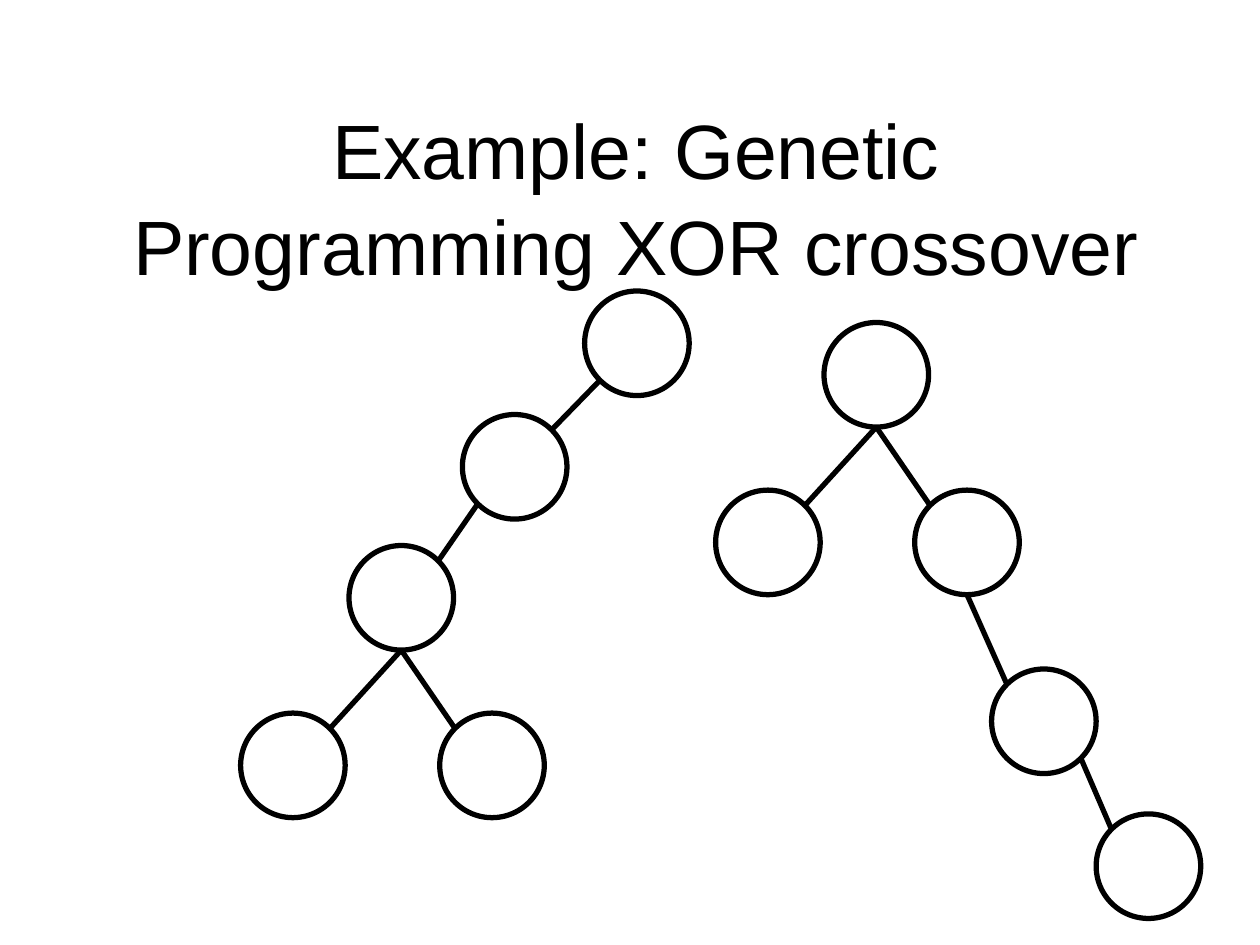
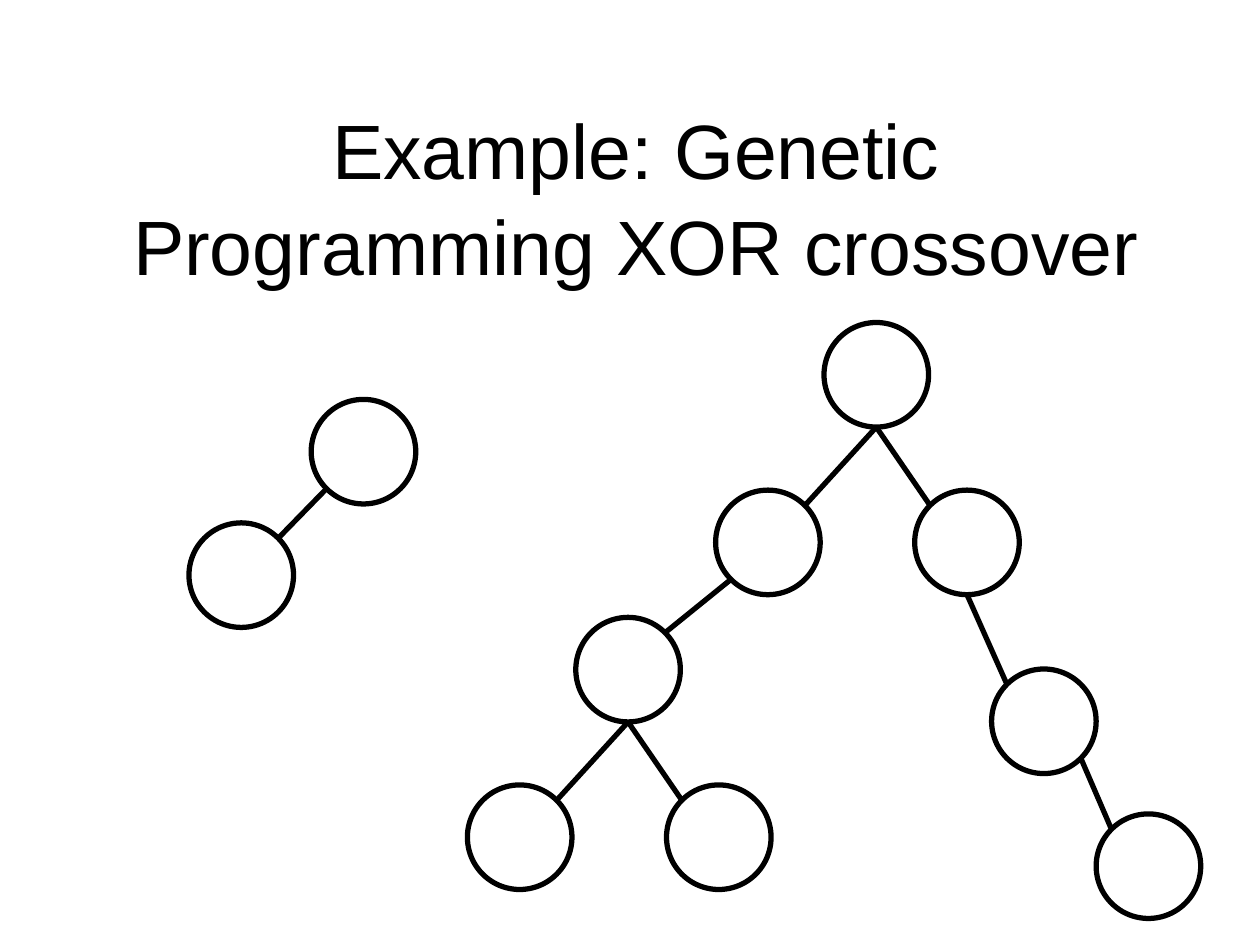
from dataclasses import dataclass
from math import sqrt

from lxml import etree
from pptx import Presentation
from pptx.dml.color import RGBColor
from pptx.enum.shapes import MSO_CONNECTOR, MSO_SHAPE
from pptx.enum.text import MSO_ANCHOR, MSO_AUTO_SIZE, PP_ALIGN
from pptx.oxml.ns import qn
from pptx.util import Inches, Pt


@dataclass(frozen=True)
class Theme:
    ink: RGBColor = RGBColor(0, 0, 0)
    font: str = "Arial"
    title_size: Pt = Pt(44)
    title_spacing: float = 1.04
    line_width: Pt = Pt(3)


theme = Theme()
TITLE = "Example: Genetic Programming XOR crossover"
DIAMETER = 0.83
RADIUS = DIAMETER / 2
DIAGONAL = RADIUS / sqrt(2)

FORK_LEFT = (-0.86, 1.33)
FORK_RIGHT = (0.72, 1.33)
STEM_STEP = (-0.97, 0.98)

SITES = {
    "bottom": (0, RADIUS),
    "top left": (-DIAGONAL, -DIAGONAL),
    "top right": (DIAGONAL, -DIAGONAL),
    "bottom left": (-DIAGONAL, DIAGONAL),
    "bottom right": (DIAGONAL, DIAGONAL),
}

FORK_EDGES = [
    ("fork", "bottom", "fork left", "top right"),
    ("fork", "bottom", "fork right", "top left"),
]
STEM_EDGES = [("stem", "bottom left", "stem end", "top right")]
TREE_EDGES = [
    ("tree", "bottom", "tree left", "top right"),
    ("tree", "bottom", "tree right", "top left"),
    ("tree right", "bottom", "chain", "top left"),
    ("chain", "bottom right", "chain end", "top left"),
]

SLIDES = [
    {"stem": (4.64, 2.31), "fork": (2.77, 4.33), "fork parent": "stem end"},
    {"stem": (2.47, 3.17), "fork": (4.57, 4.9), "fork parent": "tree left"},
]


def write_text(shape, text, *, font, size, color, align, anchor, spacing):
    frame = shape.text_frame
    frame.word_wrap = True
    frame.auto_size = MSO_AUTO_SIZE.NONE
    frame.vertical_anchor = anchor
    paragraph = frame.paragraphs[0]
    paragraph.alignment = align
    paragraph.line_spacing = spacing
    run = paragraph.add_run()
    run.text = text
    run.font.name = font
    run.font.size = size
    run.font.color.rgb = color


def offset(origin, step):
    return origin[0] + step[0], origin[1] + step[1]


presentation = Presentation()
presentation.slide_width = Inches(10)
presentation.slide_height = Inches(7.5)

for layout in SLIDES:
    slide = presentation.slides.add_slide(presentation.slide_layouts[5])
    title = slide.shapes.title
    title.left, title.top = Inches(0.8), Inches(0.67)
    title.width, title.height = Inches(8.5), Inches(1.75)
    write_text(title, TITLE, font=theme.font, size=theme.title_size,
               color=theme.ink, align=PP_ALIGN.CENTER,
               anchor=MSO_ANCHOR.MIDDLE, spacing=theme.title_spacing)

    nodes = {
        "stem": layout["stem"],
        "stem end": offset(layout["stem"], STEM_STEP),
        "tree": (6.54, 2.56),
        "chain": (7.87, 5.31),
        "chain end": (8.7, 6.46),
        "fork": layout["fork"],
    }
    for parent in ("fork", "tree"):
        nodes[f"{parent} left"] = offset(nodes[parent], FORK_LEFT)
        nodes[f"{parent} right"] = offset(nodes[parent], FORK_RIGHT)

    for left, top in nodes.values():
        circle = slide.shapes.add_shape(
            MSO_SHAPE.OVAL, Inches(left), Inches(top),
            Inches(DIAMETER), Inches(DIAMETER))
        circle.shadow.inherit = False
        circle.fill.background()
        circle.line.color.rgb = theme.ink
        circle.line.width = theme.line_width

    graft = (layout["fork parent"], "bottom left", "fork", "top right")
    for parent, parent_site, child, child_site in (
            FORK_EDGES + STEM_EDGES + TREE_EDGES + [graft]):
        ends = []
        for node, site in ((child, child_site), (parent, parent_site)):
            center = offset(nodes[node], (RADIUS, RADIUS))
            ends += [Inches(value) for value in offset(center, SITES[site])]
        edge = slide.shapes.add_connector(MSO_CONNECTOR.STRAIGHT, *ends)
        edge.line.color.rgb = theme.ink
        edge.line.width = theme.line_width
        etree.SubElement(edge._element.spPr, qn("a:effectLst"))

presentation.save("out.pptx")
